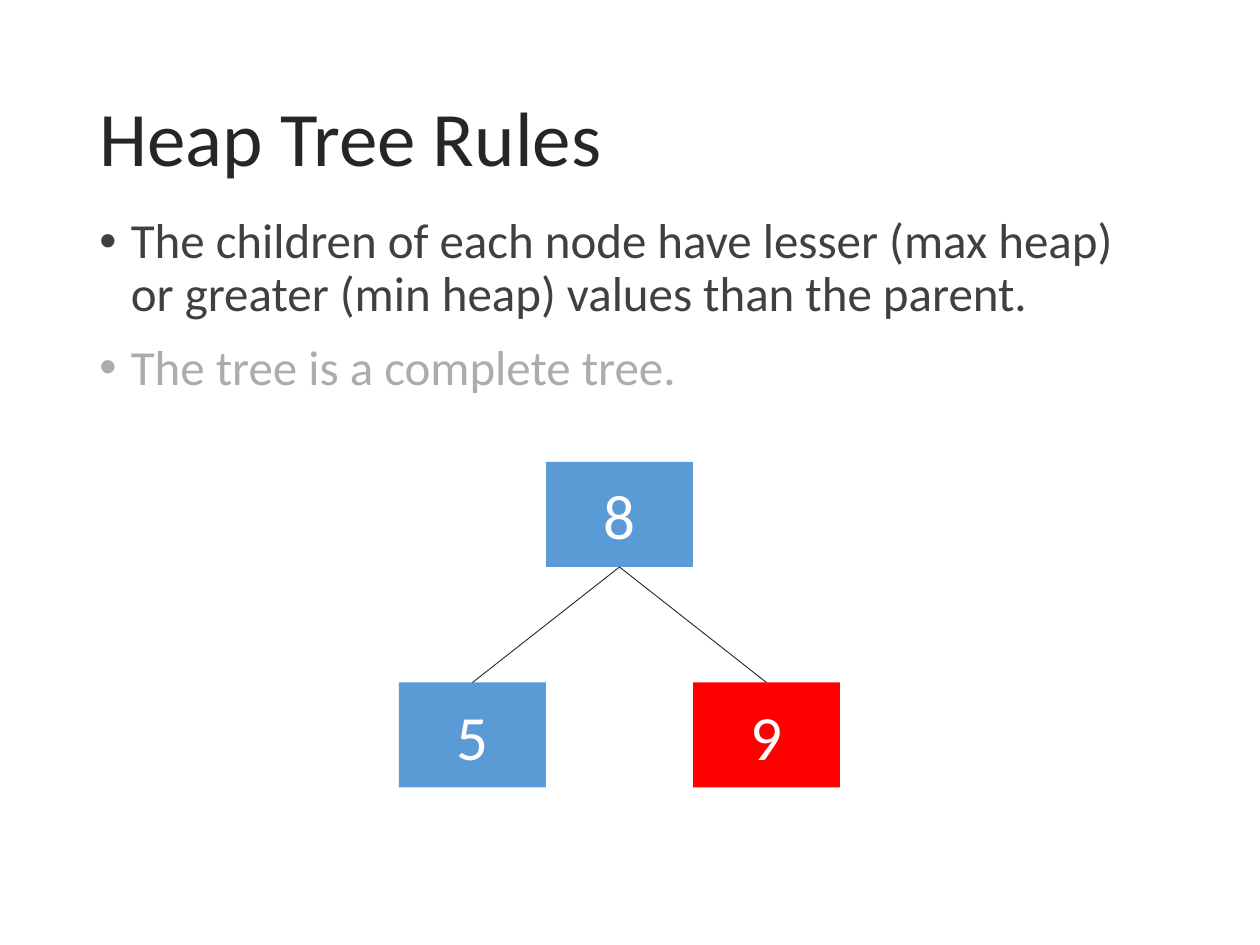
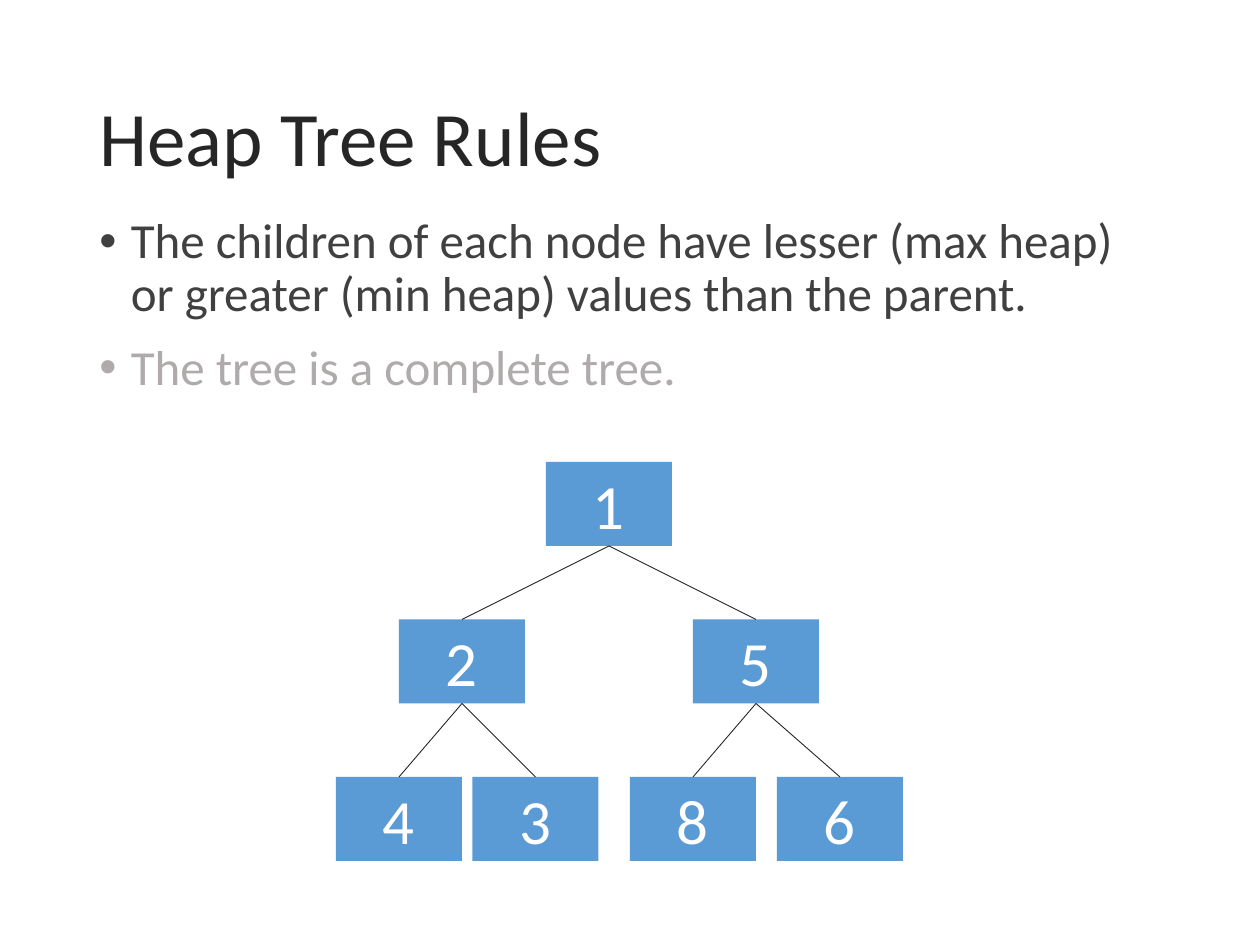
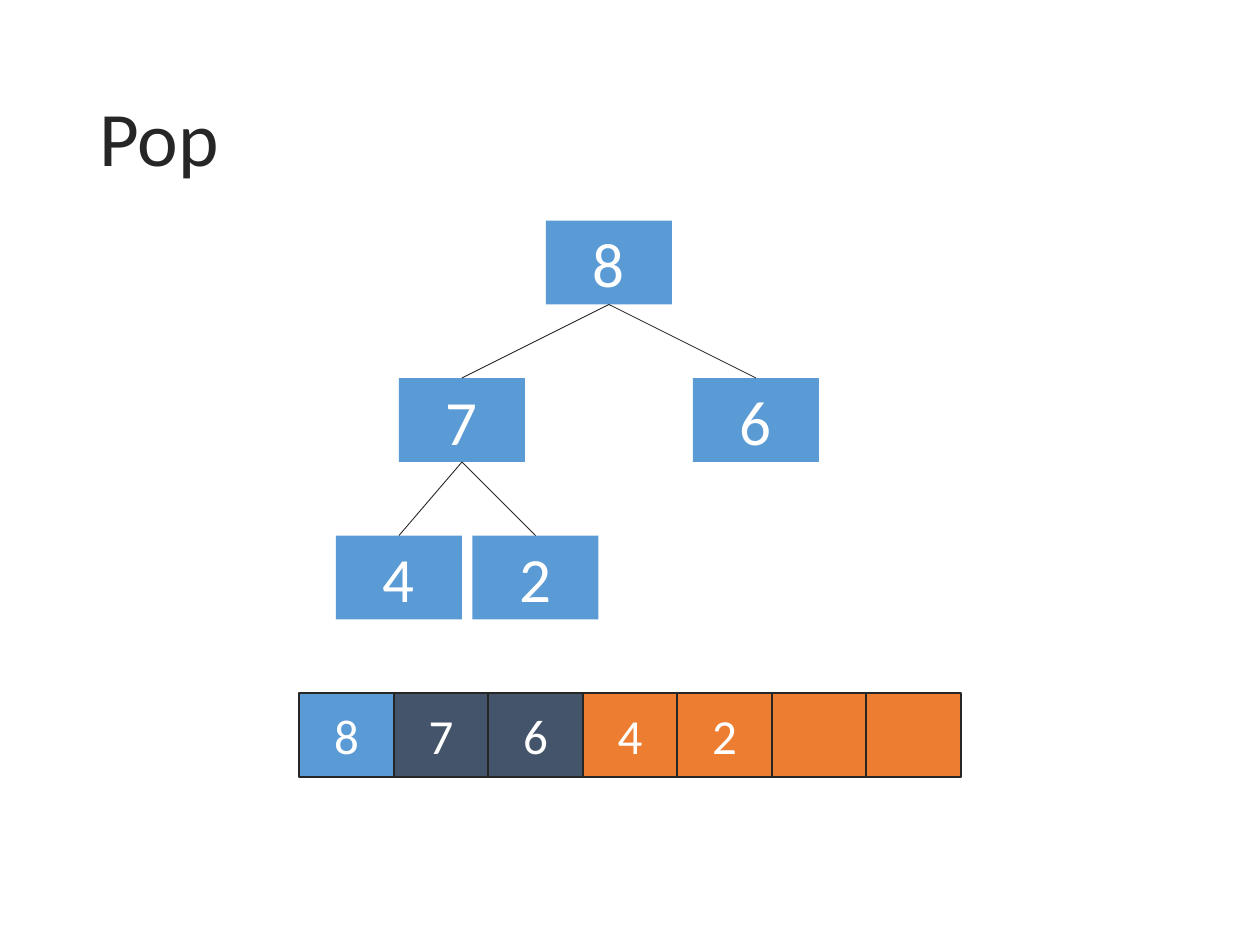
from lxml import etree
from pptx import Presentation
from pptx import util as u
from pptx.dml.color import RGBColor
from pptx.enum import shapes, text
from pptx.oxml.ns import qn

FONT = "Calibri"
UNIT = u.Inches(1) / 12
INK, BODY, MUTED, WHITE = "262626", "404040", "AFABAB", "FFFFFF"
BLUE, RED, SLATE, ORANGE = "5B9BD5", "FF0000", "44546A", "ED7D31"
COLUMNS = [52, 38, 66, 32, 45, 60, 74]
LARGE = {"width": 14, "height": 10, "step": 21}
SMALL = {"width": 12, "height": 8, "step": 15}
RULES = [
    ("The children of each node have lesser (max heap) or greater (min heap) "
     "values than the parent.", BODY),
    ("The tree is a complete tree.", MUTED),
]


def color(value):
    """Turn a hex string into a colour."""
    return RGBColor.from_string(value)


def grid(*cells):
    """Convert grid units of a twelfth of an inch to lengths."""
    return [u.Emu(round(cell * UNIT)) for cell in cells]


def write(para, words, size, ink, **layout):
    """Add one styled span to a paragraph and apply its layout."""
    for name, value in layout.items():
        setattr(para, name, value)
    span = para.add_run()
    span.text = words
    for name, value in {"name": FONT, "size": u.Pt(size)}.items():
        setattr(span.font, name, value)
    span.font.color.rgb = color(ink)


def add_text_frame(page, left, top, width, height, anchor):
    """Add a wrapping text box and return its frame."""
    box = page.shapes.add_textbox(*map(u.Inches, (left, top, width, height)))
    frame = box.text_frame
    for name, value in {"word_wrap": True, "vertical_anchor": anchor}.items():
        setattr(frame, name, value)
    return frame


def add_title(page, words):
    """Add the slide title."""
    frame = add_text_frame(page, 0.69, 0.4, 8.62, 1.45, text.MSO_ANCHOR.MIDDLE)
    write(frame.paragraphs[0], words, 44, INK, line_spacing=0.9)


def add_bullets(page, items):
    """Add a bulleted list of words and colours."""
    frame = add_text_frame(page, 0.69, 1.67, 8.62, 1.58, text.MSO_ANCHOR.TOP)
    indent = u.Inches(0.25)
    for index, (words, ink) in enumerate(items):
        para = frame.add_paragraph() if index else frame.paragraphs[0]
        write(para, words, 28, ink, line_spacing=0.9, space_before=u.Pt(12))
        props = para._p.get_or_add_pPr()
        for name, value in {"marL": indent, "indent": -indent}.items():
            props.set(name, str(value))
        for tag, name, value in [("a:buFont", "typeface", "Arial"),
                                 ("a:buChar", "char", "\u2022")]:
            etree.SubElement(props, qn(tag)).set(name, value)


def add_block(page, cells, words, fill, size, outline=None):
    """Add a filled rectangle with a centred label."""
    block = page.shapes.add_shape(shapes.MSO_SHAPE.RECTANGLE, *grid(*cells))
    block.shadow.inherit = False
    block.fill.solid()
    block.fill.fore_color.rgb = color(fill)
    if outline:
        block.line.color.rgb = color(outline)
        block.line.width = u.Pt(1)
    else:
        block.line.fill.background()
    if words:
        block.text_frame.vertical_anchor = text.MSO_ANCHOR.MIDDLE
        write(block.text_frame.paragraphs[0], words, size, WHITE,
              alignment=text.PP_ALIGN.CENTER)
    return block


def add_link(page, child, parent):
    """Join the top of a child to the bottom of its parent."""
    link = page.shapes.add_connector(shapes.MSO_CONNECTOR.STRAIGHT, 0, 0, 0, 0)
    link.begin_connect(child, 0)
    link.end_connect(parent, 2)
    link.line.color.rgb = color(INK)
    link.line.width = u.Pt(0.5)
    etree.SubElement(link._element.spPr, qn("a:effectLst"))


def add_tree(page, values, top, scale, wrong=()):
    """Draw a heap given in level order, with wrong values in red."""
    nodes = []
    for index, (value, column) in enumerate(zip(values, COLUMNS)):
        level = (index + 1).bit_length() - 1
        cells = (column, top + level * scale["step"], scale["width"], scale["height"])
        fill = RED if value in wrong else BLUE
        nodes.append(add_block(page, cells, value, fill, 36))
        if index:
            add_link(page, nodes[index], nodes[(index - 1) // 2])


def add_array(page, values, length):
    """Draw the heap's array, with one colour for each tree level."""
    for index in range(length):
        level = (index + 1).bit_length() - 1
        words = values[index] if index < len(values) else ""
        add_block(page, (28.5 + 9 * index, 66, 9, 8), words,
                  [BLUE, SLATE, ORANGE][level], 28, INK)


def add_page(deck, title):
    """Add a blank slide with a title."""
    page = deck.slides.add_slide(deck.slide_layouts[6])
    add_title(page, title)
    return page


def main():
    """Build and save the deck."""
    deck = Presentation()
    deck.slide_width, deck.slide_height = u.Inches(10), u.Inches(7.5)
    for values, scale, wrong in [("859", LARGE, "9"), ("1254386", SMALL, "")]:
        page = add_page(deck, "Heap Tree Rules")
        add_bullets(page, RULES)
        add_tree(page, values, 44, scale, wrong)
    page = add_page(deck, "Pop")
    add_tree(page, "87642", 21, SMALL)
    add_array(page, "87642", 7)
    deck.save("out.pptx")


main()
